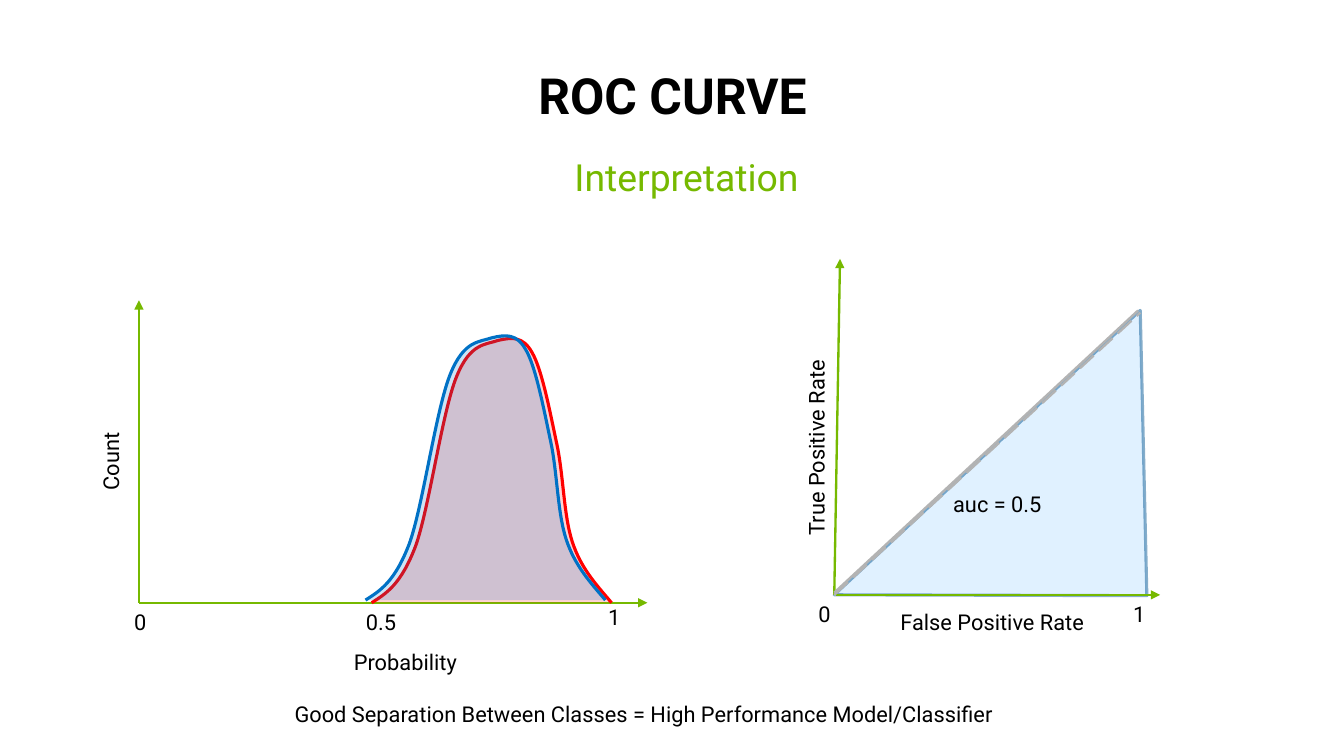
from lxml import etree
from pptx import Presentation
from pptx.dml.color import RGBColor
from pptx.enum.dml import MSO_LINE
from pptx.enum.shapes import MSO_CONNECTOR
from pptx.enum.text import MSO_ANCHOR, PP_ALIGN
from pptx.oxml.ns import qn
from pptx.util import Cm, Pt

BLACK = RGBColor(0x00, 0x00, 0x00)
GREEN = RGBColor(0x76, 0xB9, 0x00)
GREY = RGBColor(0xB3, 0xB3, 0xB3)
RED = RGBColor(0xFF, 0x00, 0x00)
BLUE = RGBColor(0x00, 0x71, 0xC5)
NAVY = RGBColor(0x00, 0x54, 0x92)
PALE_BLUE = RGBColor(0xC0, 0xE4, 0xFF)
LEFT, CENTER = PP_ALIGN.LEFT, PP_ALIGN.CENTER
BOTTOM = MSO_ANCHOR.BOTTOM
STRAIGHT = MSO_CONNECTOR.STRAIGHT
LONG_DASH = MSO_LINE.LONG_DASH
FONT = "Roboto"
LABEL_HEIGHT = 0.86

deck = Presentation()
deck.slide_width = Cm(30.48)
deck.slide_height = deck.slide_width * 9 // 16
page = deck.slides.add_slide(deck.slide_layouts[6])


def add_text(text, left, top, width, height, align, size=14, color=BLACK):
    box = page.shapes.add_textbox(Cm(left), Cm(top), Cm(width), Cm(height))
    box.text_frame.word_wrap = True
    box.text_frame.text = text
    para = box.text_frame.paragraphs[0]
    para.alignment = align
    span = para.runs[0]
    span.font.name = FONT
    span.font.size = Pt(size)
    span.font.color.rgb = color
    return box


def add_outline(points, closed, fill, fill_alpha, line, line_alpha):
    corners = [(Cm(x), Cm(y)) for x, y in points]
    builder = page.shapes.build_freeform(*corners[0])
    builder.add_line_segments(corners[1:], close=closed)
    outline = builder.convert_to_shape()
    outline.shadow.inherit = False
    outline.fill.solid()
    outline.fill.fore_color.rgb = fill
    outline.line.color.rgb = line
    outline.line.width = Pt(2)
    for color, alpha in zip(outline.element.xpath("./p:spPr//a:srgbClr"), (fill_alpha, line_alpha)):
        etree.SubElement(color, qn("a:alpha")).set("val", str(alpha * 1000))
    return outline


title = add_text("ROC CURVE", 1.4, 1.32, 27.71, 1.65, CENTER, 32)
title.text_frame.vertical_anchor = BOTTOM
title.text_frame.paragraphs[0].line_spacing = 0.9
title.text_frame.paragraphs[0].runs[0].font.bold = True

subtitle = add_text("Interpretation", 1.4, 3.48, 27.71, 1.45, CENTER, 24, GREEN)
para = subtitle.text_frame.paragraphs[0]
para.line_spacing = 0.9
para.space_before = Pt(9)
properties = subtitle.element.xpath(".//a:pPr")[0]
properties.set("marL", str(Cm(1.27)))
properties.set("indent", str(-Cm(0.64)))

auc_triangle = [(18.92, 13.49), (25.86, 7.04), (26.01, 13.51)]
add_outline(auc_triangle, True, PALE_BLUE, 49, NAVY, 47)

lines = [
    ((3.15, 13.67), (3.15, 6.81), GREEN, True, False),
    ((3.15, 13.67), (14.68, 13.67), GREEN, True, False),
    ((18.92, 13.49), (19.05, 5.87), GREEN, True, False),
    ((18.97, 13.49), (26.31, 13.49), GREEN, True, False),
    ((18.92, 13.49), (25.86, 7.09), GREY, False, True),
    ((18.92, 13.44), (25.81, 7.04), GREY, False, False),
]
for start, end, color, arrow, dashed in lines:
    connector = page.shapes.add_connector(STRAIGHT, *map(Cm, start + end))
    connector.line.color.rgb = color
    connector.line.width = Pt(1.5)
    if dashed:
        connector.line.dash_style = LONG_DASH
    if arrow:
        stroke = connector.element.xpath("./p:spPr/a:ln")[0]
        etree.SubElement(stroke, qn("a:tailEnd")).set("type", "triangle")
    etree.SubElement(connector.element.spPr, qn("a:effectLst"))

bell = [
    (8.43, 13.67),
    (8.76, 13.46), (9.09, 13.26), (9.42, 12.4),
    (9.73, 11.56), (10.03, 9.32), (10.36, 8.53),
    (10.67, 7.77), (11.02, 7.82), (11.3, 7.72),
    (11.61, 7.65), (11.86, 7.62), (12.07, 8),
    (12.29, 8.38), (12.47, 9.32), (12.62, 10.03),
    (12.78, 10.74), (12.78, 11.68), (12.98, 12.29),
    (13.18, 12.9), (13.54, 13.28), (13.87, 13.67),
]
for color, alpha, shift_x, shift_y in [(RED, 17, 0, 0), (BLUE, 19, -0.14, -0.06)]:
    points = [(x + shift_x, y + shift_y) for x, y in bell]
    curve = add_outline(points, False, color, alpha, color, 100)
    segments = curve.element.xpath(".//a:lnTo")
    contour = segments[0].getparent()
    for first in range(0, len(segments), 3):
        bezier = etree.SubElement(contour, qn("a:cubicBezTo"))
        for segment in segments[first:first + 3]:
            bezier.append(segment[0])
            contour.remove(segment)

labels = [
    ("0", 2.79, 13.67, 0.94, LEFT, 0),
    ("0.5", 8.05, 13.69, 1.75, LEFT, 0),
    ("1", 13.54, 13.56, 1.75, LEFT, 0),
    ("Probability", 3.99, 14.58, 10.41, CENTER, 0),
    ("Count", -2.36, 10.03, 9.75, CENTER, 270),
    ("False Positive Rate", 20.17, 13.69, 7.39, LEFT, 0),
    ("0", 18.31, 13.49, 0.66, LEFT, 0),
    ("1", 25.45, 13.49, 1.73, LEFT, 0),
    ("True Positive Rate", 14.25, 7.7, 8.53, LEFT, 270),
    ("auc = 0.5", 21.03, 11, 3.18, CENTER, 0),
    ("Good Separation Between Classes = High Performance Model/Classifier",
     6.43, 15.77, 16.89, LEFT, 0),
]
for text, left, top, width, align, rotation in labels:
    label = add_text(text, left, top, width, LABEL_HEIGHT, align)
    label.rotation = rotation

deck.save("out.pptx")
